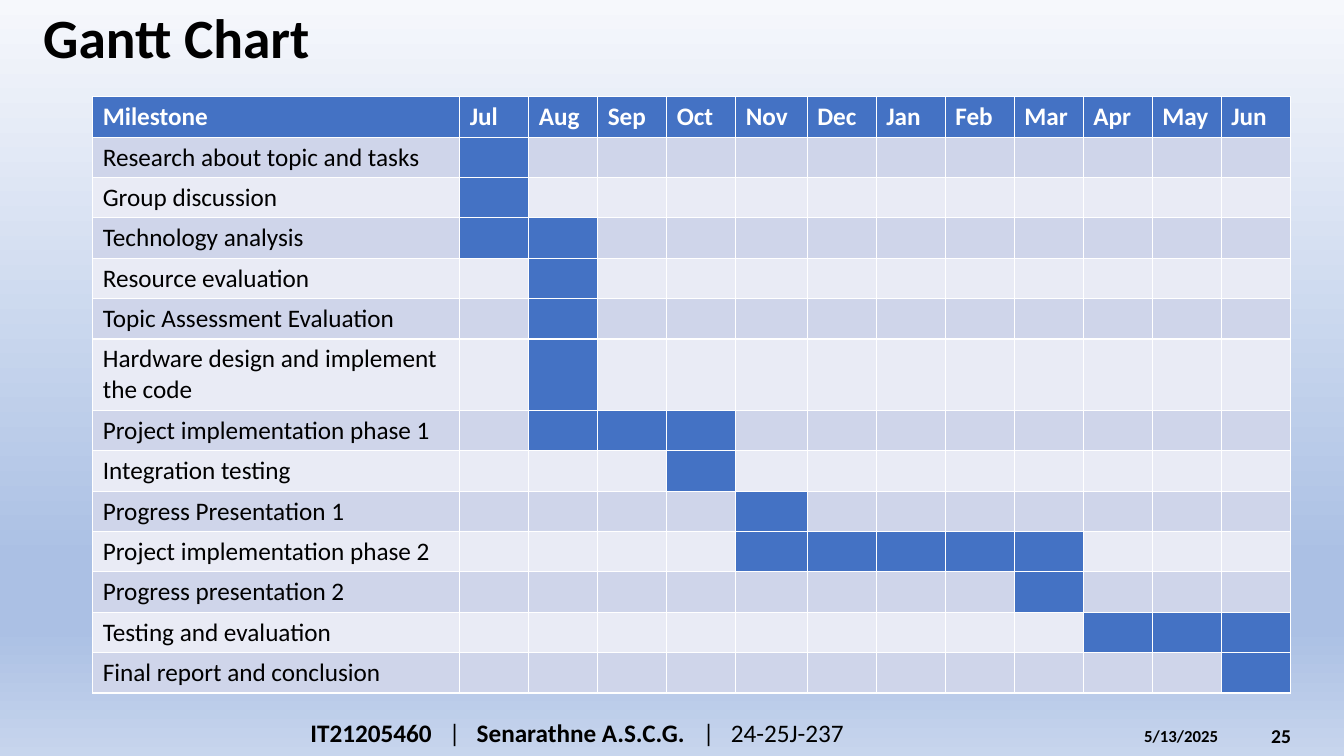
from dataclasses import dataclass

from lxml.etree import SubElement
from pptx import Presentation
from pptx.dml.color import RGBColor
from pptx.enum.text import MSO_ANCHOR
from pptx.oxml.ns import qn
from pptx.slide import Slide
from pptx.util import Inches, Pt

FONT = "Calibri"
COLOURS = {
    "text": "000000",
    "header text": "FFFFFF",
    "bar": "4472C4",
    "odd row": "CFD5EA",
    "even row": "E9EBF5",
}
BACKGROUND_STOPS = [(0, "F6F8FC"), (74, "ABC0E4"), (83, "ABC0E4"), (100, "C7D5ED")]
MONTHS = ["Jul", "Aug", "Sep", "Oct", "Nov", "Dec",
          "Jan", "Feb", "Mar", "Apr", "May", "Jun"]
TABLE_WIDTH, MILESTONE_WIDTH, NOVEMBER_WIDTH = 11.88, 3.64, 0.71
ROW_HEIGHT, TALL_ROW_HEIGHT = 0.4, 0.71


@dataclass
class Milestone:
    name: str
    first: str
    last: str
    height: float = ROW_HEIGHT


@dataclass
class Label:
    left: float
    top: float
    width: float
    height: float
    size: float
    spans: list[tuple[str, bool]]
    tabs: tuple[tuple[float, str], ...] = ()
    line_spacing: float = 1.0


MILESTONES = [
    Milestone("Research about topic and tasks", "Jul", "Jul"),
    Milestone("Group discussion", "Jul", "Jul"),
    Milestone("Technology analysis", "Jul", "Aug"),
    Milestone("Resource evaluation", "Aug", "Aug"),
    Milestone("Topic Assessment Evaluation", "Aug", "Aug"),
    Milestone("Hardware design and implement the code", "Aug", "Aug", TALL_ROW_HEIGHT),
    Milestone("Project implementation phase 1", "Aug", "Oct"),
    Milestone("Integration testing", "Oct", "Oct"),
    Milestone("Progress Presentation 1", "Nov", "Nov"),
    Milestone("Project implementation phase 2", "Nov", "Mar"),
    Milestone("Progress presentation 2", "Mar", "Mar"),
    Milestone("Testing and evaluation", "Apr", "Jun"),
    Milestone("Final report and conclusion", "Jun", "Jun"),
]
PAGE_NUMBER = Label(12.51, 7.1, 0.74, 0.4, 14, [("25", True)])
DATE = Label(11.25, 7.15, 1.17, 0.3, 12, [("5/13/2025", True)])
TITLE = Label(0.33, 0.1, 12.78, 0.6, 39.6, [("Gantt Chart", True)], line_spacing=0.9)
FOOTER = Label(
    2.98, 7.07, 7.45, 0.4, 18,
    [("IT21205460", True), ("\t|\t", False),
     ("Senarathne A.S.C.G.", True), ("\t|\t24-25J-237", False)],
    tabs=((1.43, "ctr"), (1.65, "l"), (3.95, "ctr"), (4.17, "l")),
)


def colour(name: str) -> RGBColor:
    return RGBColor.from_string(COLOURS[name])


def style_font(font, size: float, bold: bool, name: str) -> None:
    font.name, font.size, font.bold = FONT, Pt(size), bold
    font.color.rgb = colour(name)


def paint_background(page: Slide) -> None:
    fill = page.background.fill
    fill.gradient()
    fill.gradient_angle = 270
    stops = next(page.element.iter(qn("a:gsLst")))
    for old in list(stops):
        stops.remove(old)
    for percent, value in BACKGROUND_STOPS:
        stop = SubElement(stops, qn("a:gs"), pos=str(percent * 1000))
        SubElement(stop, qn("a:srgbClr"), val=value)


def add_label(page: Slide, label: Label) -> None:
    box = page.shapes.add_textbox(Inches(label.left), Inches(label.top),
                                  Inches(label.width), Inches(label.height))
    box.text_frame.word_wrap = True
    box.text_frame.vertical_anchor = MSO_ANCHOR.MIDDLE
    para = box.text_frame.paragraphs[0]
    para.line_spacing = label.line_spacing
    if label.tabs:
        tab_list = SubElement(para._p.get_or_add_pPr(), qn("a:tabLst"))
        for position, align in label.tabs:
            SubElement(tab_list, qn("a:tab"), pos=str(Inches(position)), algn=align)
    for text, bold in label.spans:
        span = para.add_run()
        span.text = text
        style_font(span.font, label.size, bold, "text")


def fill_cell(cell, fill: str, text: str = "", header: bool = False) -> None:
    cell.fill.solid()
    cell.fill.fore_color.rgb = colour(fill)
    para = cell.text_frame.paragraphs[0]
    para.text = text
    for span in para.runs:
        style_font(span.font, 18, header, "header text" if header else "text")


def add_gantt(page: Slide) -> None:
    heights = [ROW_HEIGHT] + [milestone.height for milestone in MILESTONES]
    table = page.shapes.add_table(
        len(heights), len(MONTHS) + 1, Inches(0.92), Inches(0.96),
        Inches(TABLE_WIDTH), Inches(sum(heights))).table

    # Column widths and row heights
    month_width = (TABLE_WIDTH - MILESTONE_WIDTH - NOVEMBER_WIDTH) / (len(MONTHS) - 1)
    widths = [MILESTONE_WIDTH] + [
        NOVEMBER_WIDTH if month == "Nov" else month_width for month in MONTHS]
    for column, width in zip(table.columns, widths):
        column.width = Inches(width)
    for row, height in zip(table.rows, heights):
        row.height = Inches(height)

    # Header row
    for index, heading in enumerate(["Milestone"] + MONTHS):
        fill_cell(table.cell(0, index), "bar", heading, header=True)

    # Milestones and their bars
    for number, milestone in enumerate(MILESTONES, start=1):
        band = "odd row" if number % 2 else "even row"
        fill_cell(table.cell(number, 0), band, milestone.name)
        first, last = MONTHS.index(milestone.first), MONTHS.index(milestone.last)
        for index in range(len(MONTHS)):
            active = first <= index <= last
            fill_cell(table.cell(number, index + 1), "bar" if active else band)


def main() -> None:
    deck = Presentation()
    deck.slide_width, deck.slide_height = Inches(13.33), Inches(7.5)
    page = deck.slides.add_slide(deck.slide_layouts[6])
    paint_background(page)
    for label in (PAGE_NUMBER, DATE, TITLE):
        add_label(page, label)
    add_gantt(page)
    add_label(page, FOOTER)
    deck.save("out.pptx")


if __name__ == "__main__":
    main()
